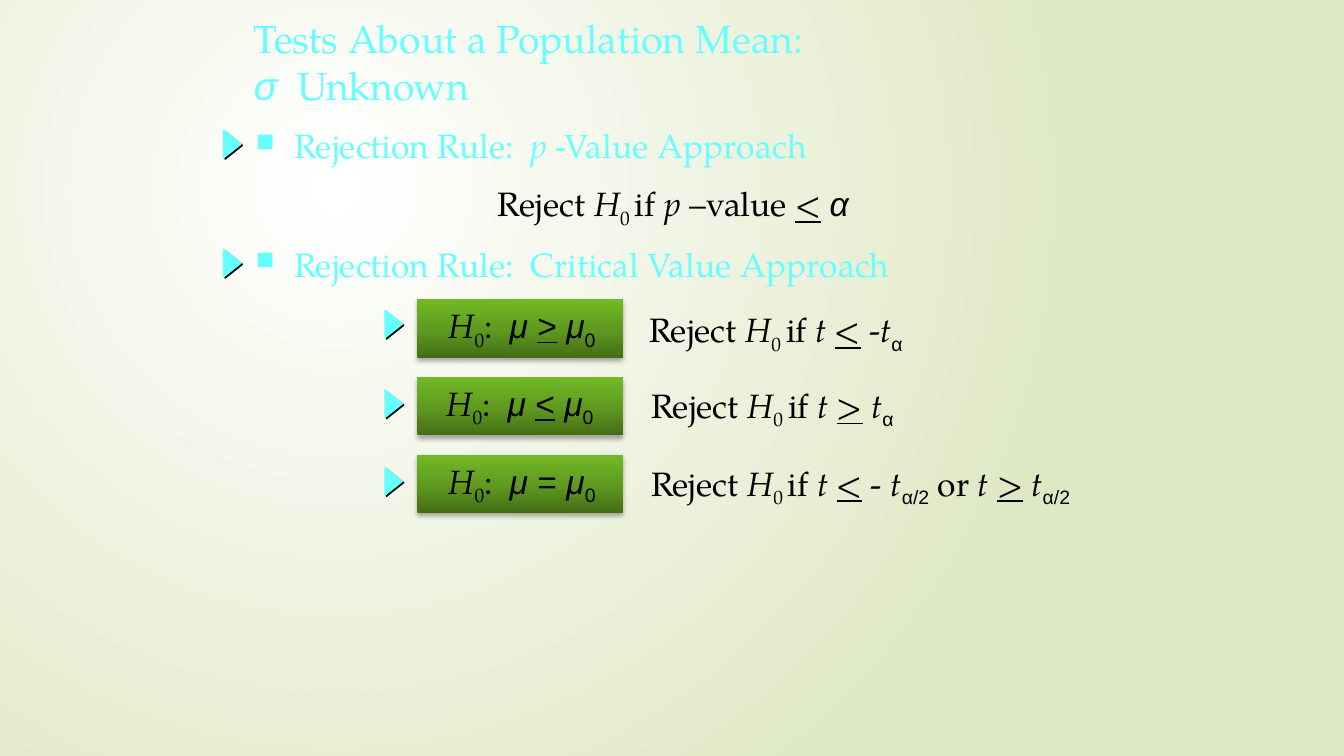
from lxml.etree import SubElement
from pptx import Presentation
from pptx.dml.color import RGBColor
from pptx.enum.shapes import MSO_SHAPE
from pptx.enum.text import MSO_ANCHOR, MSO_AUTO_SIZE
from pptx.oxml import parse_xml
from pptx.oxml.ns import nsdecls, qn
from pptx.util import Inches, Pt

CYAN = RGBColor(0x66, 0xFF, 0xFF)
BLACK = RGBColor(0, 0, 0)
WHITE = RGBColor(0xFF, 0xFF, 0xFF)
PALE_GREEN = RGBColor(0xDF, 0xE8, 0xC4)
GREENS = [(0, RGBColor(0x44, 0x6D, 0x16)), (50, RGBColor(0x60, 0x9C, 0x20)),
          (100, RGBColor(0x72, 0xB9, 0x25))]
SERIF, SANS = "TeX Gyre Pagella", "Arial"

# Span styles: i italic, u underline, s subscript, a sans-serif
NULL = [("H", "i"), ("0", "s"), (":  ", "")]
REJECT = [("Reject ", ""), ("H", "i"), ("0 ", "s"), ("if ", "")]
MEAN_ZERO = [("μ", "ia"), ("0", "sa")]


def gradient(stops, direction):
    """Return a gradient fill element with the given direction markup."""
    marks = "".join(f'<a:gs pos="{pos * 1000}"><a:srgbClr val="{color}"/></a:gs>'
                    for pos, color in stops)
    return parse_xml(f'<a:gradFill {nsdecls("a")} rotWithShape="1">'
                     f'<a:gsLst>{marks}</a:gsLst>{direction}</a:gradFill>')


def paint_background(page):
    """Lay a round glow over the page, centred towards the top left."""
    fill = page.background.fill
    fill.solid()
    properties = page._element.cSld.find(qn("p:bg")).find(qn("p:bgPr"))
    glow = gradient([(0, WHITE), (100, PALE_GREEN)],
                    '<a:path path="circle"><a:fillToRect l="50000" t="50000" '
                    'r="100000" b="100000"/></a:path>')
    properties.replace(properties.find(qn("a:solidFill")), glow)


def add_shadow(shape, opacity, blur, distance, angle):
    """Give a shape a black outer shadow."""
    shape.shadow.inherit = False
    effects = shape._element.spPr.find(qn("a:effectLst"))
    effects.append(parse_xml(
        f'<a:outerShdw {nsdecls("a")} blurRad="{Pt(blur)}" dist="{Pt(distance)}" '
        f'dir="{angle * 60000}" algn="ctr" rotWithShape="0"><a:srgbClr val="{BLACK}">'
        f'<a:alpha val="{opacity * 1000}"/></a:srgbClr></a:outerShdw>'))


def add_marker(page, left, top):
    """Draw a small cyan triangle that points right."""
    marker = page.shapes.add_shape(MSO_SHAPE.ISOSCELES_TRIANGLE, Inches(left),
                                   Inches(top), Inches(0.27), Inches(0.17))
    marker.rotation = 90
    marker.fill.solid()
    marker.fill.fore_color.rgb = CYAN
    marker.line.color.rgb = CYAN
    marker.line.width = Pt(1)
    add_shadow(marker, 100, 0, 1.4, 45)


def add_panel(page, left, top):
    """Draw the green panel behind a hypothesis."""
    panel = page.shapes.add_shape(MSO_SHAPE.RECTANGLE, Inches(left), Inches(top),
                                  Inches(2.04), Inches(0.58))
    panel.line.fill.background()
    panel.fill.solid()
    properties = panel._element.spPr
    properties.replace(properties.find(qn("a:solidFill")),
                       gradient(GREENS, '<a:lin ang="16200000" scaled="0"/>'))
    add_shadow(panel, 32, 3.5, 2.2, 90)


def add_span(para, text, style, size, color):
    """Add one styled span to a paragraph."""
    span = para.add_run()
    span.text = text
    formats = {"size": Pt(size), "name": SANS if "a" in style else SERIF,
               "italic": "i" in style, "underline": "u" in style}
    for name, value in formats.items():
        setattr(span.font, name, value)
    span.font.color.rgb = color
    if "s" in style:
        span._r.get_or_add_rPr().set("baseline", "-25000")


def add_text(page, left, top, width, height, lines, size=24, color=BLACK, **formats):
    """Add a text box of one paragraph whose lines are lists of spans."""
    box = page.shapes.add_textbox(Inches(left), Inches(top),
                                  Inches(width), Inches(height))
    for name, value in formats.items():
        setattr(box.text_frame, name, value)
    para = box.text_frame.paragraphs[0]
    for number, line in enumerate(lines):
        if number:
            para.add_line_break()
        for text, style in line:
            add_span(para, text, style, size, color)
    return para


def add_formula(page, left, top, width, spans):
    """Add a single line of black text that does not wrap."""
    add_text(page, left, top, width, 0.5, [spans], word_wrap=False,
             auto_size=MSO_AUTO_SIZE.SHAPE_TO_FIT_TEXT)


def add_heading(page, top, spans):
    """Add a cyan heading with a square bullet and a marker to its left."""
    para = add_text(page, 2.44, top, 8.5, 0.64, [spans], color=CYAN, word_wrap=True)
    properties = para._p.get_or_add_pPr()
    properties.set("marL", str(Inches(0.38)))
    properties.set("indent", str(-Inches(0.38)))
    before = SubElement(properties, qn("a:spcBef"))
    SubElement(before, qn("a:spcPct"), val="20000")
    tint = SubElement(properties, qn("a:buClr"))
    SubElement(tint, qn("a:srgbClr"), val=str(CYAN))
    SubElement(properties, qn("a:buSzPct"), val="75000")
    SubElement(properties, qn("a:buChar"), char="■")
    add_marker(page, 2.17, top + 0.155)


def main():
    """Build the slide and save it."""
    deck = Presentation()
    deck.slide_width, deck.slide_height = Inches(13.33), Inches(7.5)
    page = deck.slides.add_slide(deck.slide_layouts[6])
    paint_background(page)

    title = [[("Tests About a Population Mean:", "")], [("σ", "ia"), ("  Unknown", "")]]
    add_text(page, 2.42, 0.16, 8.5, 0.89, title, size=28, color=CYAN,
             word_wrap=True, vertical_anchor=MSO_ANCHOR.MIDDLE)
    add_heading(page, 1.19, [("Rejection Rule:  ", ""), ("p", "i"),
                             (" -Value Approach", "")])
    add_formula(page, 4.84, 1.77, 3.69, REJECT + [
        ("p ", "i"), ("–value ", ""), ("<", "u"), (" ", ""), ("α", "ia")])
    add_heading(page, 2.37, [("Rejection Rule:  Critical Value Approach", "")])

    at_most = [("t ", "i"), ("<", "u")]
    at_least = [("t ", "i"), (">", "u"), (" ", ""), ("t", "i")]
    alpha, half_alpha = ("α", "sa"), ("α/2", "sa")
    # Relation, hypothesis left, rule left, top and width, marker top, rule
    rows = [
        ([("μ ", "ia"), (">", "ua"), (" ", "a")], 4.35, 6.34, 3.02, 2.72, 3.13,
         at_most + [(" -", ""), ("t", "i"), alpha]),
        ([("μ ", "ia"), ("<", "ua"), (" ", "a")], 4.33, 6.36, 3.77, 2.61, 3.92,
         at_least + [alpha]),
        ([("μ", "ia"), (" = ", "a")], 4.35, 6.36, 4.54, 4.36, 4.69,
         at_most + [(" - ", ""), ("t", "i"), half_alpha, (" or ", "")]
         + at_least + [half_alpha]),
    ]
    for number, row in enumerate(rows):
        relation, label_left, rule_left, rule_top, rule_width, marker_top, rule = row
        top = 2.97 + 0.77 * number
        add_panel(page, 4.14, top)
        add_formula(page, label_left, top + 0.01, 1.67, NULL + relation + MEAN_ZERO)
        add_formula(page, rule_left, rule_top, rule_width, REJECT + rule)
        add_marker(page, 3.77, marker_top)

    deck.save("out.pptx")


main()
